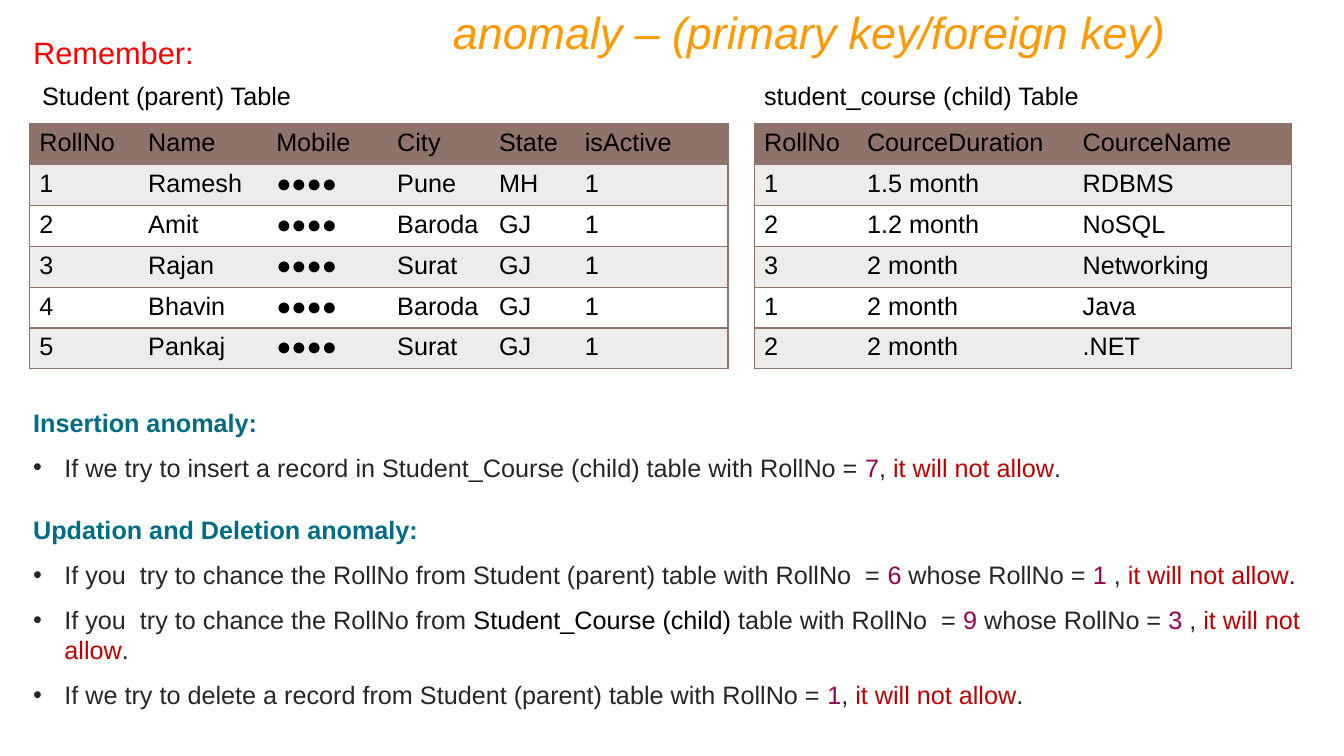
from lxml.etree import SubElement
from pptx import Presentation
from pptx.dml.color import RGBColor
from pptx.enum.text import MSO_AUTO_SIZE as AutoSize, PP_ALIGN as Align
from pptx.oxml.ns import qn
from pptx.util import Inches, Pt

rgb = RGBColor.from_string
BLACK, RED, ORANGE, TEAL = "000000", "FF0000", "FF9900", "006C86"
INK, KEY, DENIED = "262626", "990055", "C00000"
BROWN, BAND, WHITE = "8E736A", "EEEBEB", "FFFFFF"

deck = Presentation()
deck.slide_width, deck.slide_height = Inches(13.33), Inches(7.5)
slide = deck.slides.add_slide(deck.slide_layouts[6])

# Lengths are percentages of the slide's width and height
X, Y = deck.slide_width / 100, deck.slide_height / 100


def write(paragraph, pieces, size=18, bold=False, italic=False):
    for text, color in pieces:
        run = paragraph.add_run()
        run.text = text
        font = run.font
        font.name, font.size, font.bold, font.italic = "Arial", Pt(size), bold, italic
        font.color.rgb = rgb(color)


def add_frame(left, top, width, height):
    frame = slide.shapes.add_textbox(
        int(left * X), int(top * Y), int(width * X), int(height * Y)).text_frame
    frame.word_wrap = True
    frame.auto_size = AutoSize.SHAPE_TO_FIT_TEXT
    return frame


# Title and captions
reminder = add_frame(1.73, 3.87, 14, 6.27)
write(reminder.paragraphs[0], [("Remember:", RED)], 22)
title = add_frame(12.5, 0, 75, 8.53).paragraphs[0]
title.alignment = Align.RIGHT
write(title, [("anomaly – (primary key/foreign key)", ORANGE)], 32, italic=True)

HIDDEN = "●●●●"
student = [
    ["RollNo", "Name", "Mobile", "City", "State", "isActive"],
    ["1", "Ramesh", HIDDEN, "Pune", "MH", "1"],
    ["2", "Amit", HIDDEN, "Baroda", "GJ", "1"],
    ["3", "Rajan", HIDDEN, "Surat", "GJ", "1"],
    ["4", "Bhavin", HIDDEN, "Baroda", "GJ", "1"],
    ["5", "Pankaj", HIDDEN, "Surat", "GJ", "1"],
]
course = [
    ["RollNo", "CourceDuration", "CourceName"],
    ["1", "1.5 month", "RDBMS"],
    ["2", "1.2 month", "NoSQL"],
    ["3", "2 month", "Networking"],
    ["1", "2 month", "Java"],
    ["2", "2 month", ".NET"],
]

# Parent and child tables, each under its caption
for caption, caption_left, left, widths, records in [
    ("Student (parent) Table", 2.4, 2.18, [8.1, 9.53, 9, 7.58, 6.38, 11.4], student),
    ("student_course (child) Table", 56.11, 56.11, [7.65, 16.05, 16.28], course),
]:
    write(add_frame(caption_left, 10, 40, 5.33).paragraphs[0], [(caption, BLACK)])
    grid = slide.shapes.add_table(
        len(records), len(widths), int(left * X), int(16.4 * Y),
        int(sum(widths) * X), int(32.4 * Y)).table
    for column, width in zip(grid.columns, widths):
        column.width = int(width * X)
    for r, record in enumerate(records):
        for c, value in enumerate(record):
            cell = grid.cell(r, c)
            write(cell.text_frame.paragraphs[0], [(value, BLACK)])
            # Horizontal rules everywhere, vertical ones only on the outside
            drawn = {"L": c == 0, "R": c == len(widths) - 1, "T": True, "B": True}
            for side, visible in drawn.items():
                line = SubElement(cell._tc.get_or_add_tcPr(), qn(f"a:ln{side}"), w=str(Pt(1)))
                if visible:
                    paint = SubElement(line, qn("a:solidFill"))
                    SubElement(paint, qn("a:srgbClr"), val=BROWN)
                else:
                    SubElement(line, qn("a:noFill"))
            cell.fill.solid()
            cell.fill.fore_color.rgb = rgb(BROWN if r == 0 else BAND if r % 2 else WHITE)

# Anomaly rules: a heading, then its bullets
ending = [("it will not allow", DENIED), (".", INK)]
change = "If you  try to chance the RollNo from "
rules = [
    ("Insertion anomaly:", [
        [("If we try to insert a record in Student_Course (child) table with RollNo = ", INK),
         ("7", KEY), (", ", INK)],
    ]),
    ("Updation and Deletion anomaly:", [
        [(change + "Student (parent) table with RollNo  = ", INK), ("6", KEY),
         (" whose RollNo = ", INK), ("1", KEY), (" , ", INK)],
        [(change, INK), ("Student_Course (child)", BLACK),
         (" table with RollNo  = ", INK), ("9", KEY),
         (" whose RollNo = ", INK), ("3", KEY), (" , ", INK)],
        [("If we try to delete a record from Student (parent) table with RollNo = ", INK),
         ("1", KEY), (", ", INK)],
    ]),
]
notes = add_frame(1.73, 53.2, 96.7, 40.8)
for number, (heading, bullets) in enumerate(rules):
    paragraph = notes.add_paragraph() if number else notes.paragraphs[0]
    paragraph.space_before = Pt(23 if number else 0)
    write(paragraph, [(heading, TEAL)], bold=True)
    for pieces in bullets:
        paragraph = notes.add_paragraph()
        paragraph.space_before = Pt(10.5)
        write(paragraph, pieces + ending)
        layout = paragraph._p.get_or_add_pPr()
        indent = Inches(0.31)
        layout.set("marL", str(indent))
        layout.set("indent", str(-indent))
        SubElement(layout, qn("a:buFont"), typeface="Arial")
        SubElement(layout, qn("a:buChar"), char="•")

deck.save("out.pptx")
